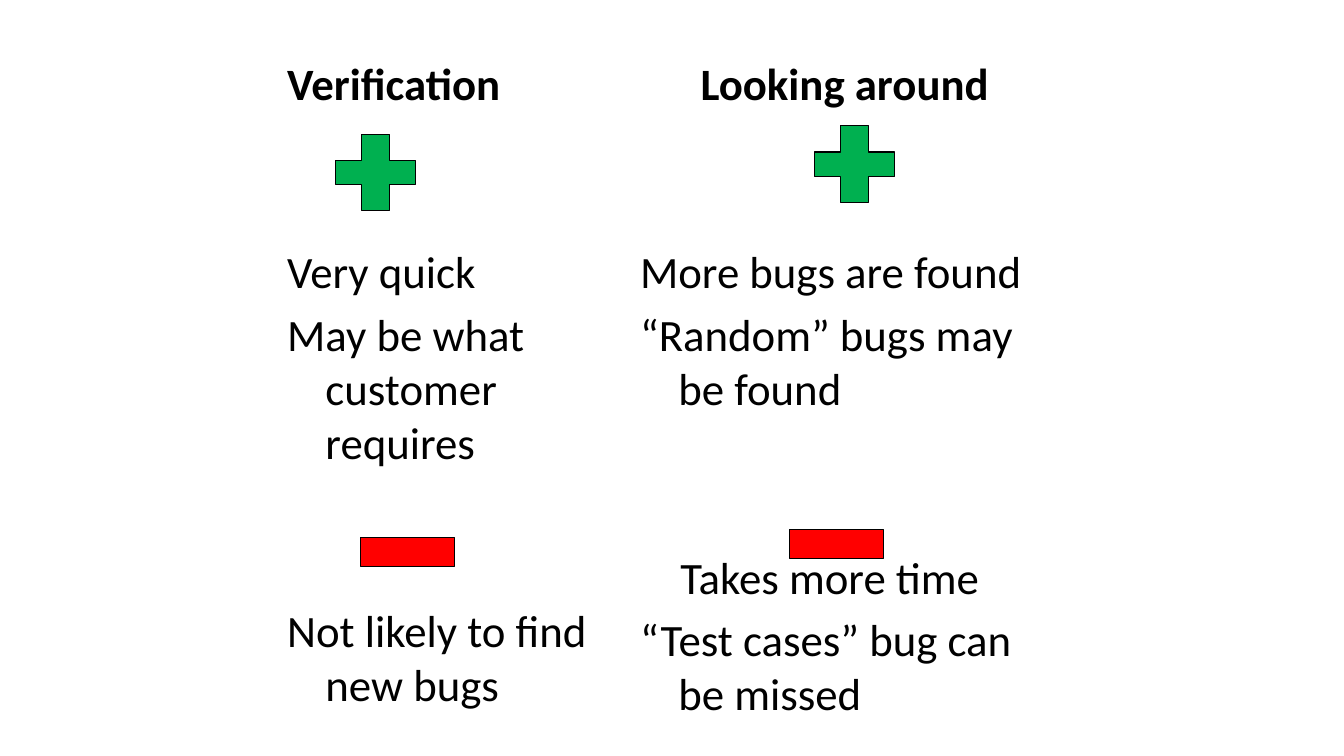
from pptx import Presentation
from pptx.dml.color import RGBColor as Rgb
from pptx.enum.shapes import MSO_SHAPE as Shape
from pptx.util import Inches, Pt

# Each column: left, width, heading, heading indent, pros, cons.
# Each point: text, left margin, first-line indent (inches).
HANG = (0.38, -0.38)
COLS = [
    dict(left=2.75, width=3.5, head=("Verification", *HANG),
         pros=[("Very quick", *HANG),
               ("May be what customer requires", *HANG)],
         cons=[("Not likely to find new bugs", *HANG)]),
    dict(left=6.25, width=4.3, head=("Looking around", 0.6, 0),
         pros=[("More bugs are found", *HANG),
               ("“Random” bugs may be found", *HANG)],
         cons=[("Takes more time", 0.4, 0),
               ("“Test cases” bug can be missed", *HANG)]),
]
# Each sign: kind, left, top
SIGNS = [("plus", 3.33, 1.33), ("minus", 3.58, 5.33),
         ("plus", 8.08, 1.25), ("minus", 7.83, 5.25)]
KINDS = {
    "plus": dict(form=Shape.CROSS, size=(0.79, 0.76), adj=[0.34]),
    "minus": dict(form=Shape.RECTANGLE, size=(0.93, 0.29), adj=[]),
}
THEME = dict(
    font=dict(name="Calibri", size=Pt(32)),
    ink=Rgb(0, 0, 0), edge=Pt(0.75),
    plus=Rgb(0x00, 0xB0, 0x50), minus=Rgb(0xFF, 0, 0),
    gap=Pt(6.4), skip=Pt(96.4),
)
TOP, HIGH = 0.5, 5.62


def add_line(para, point, bold, space):
    text, left, first = point
    props = para._p.get_or_add_pPr()
    props.set("marL", str(Inches(left)))
    props.set("indent", str(Inches(first)))
    para.space_before = space
    run = para.add_run()
    run.text = text
    for key, value in dict(THEME["font"], bold=bold).items():
        setattr(run.font, key, value)
    run.font.color.rgb = THEME["ink"]


def add_col(slide, col):
    box = slide.shapes.add_textbox(*map(Inches, (col["left"], TOP, col["width"], HIGH)))
    frame = box.text_frame
    frame.word_wrap = True
    add_line(frame.paragraphs[0], col["head"], True, THEME["gap"])
    for group in (col["pros"], col["cons"]):
        for i, point in enumerate(group):
            space = THEME["gap"] if i else THEME["skip"]
            add_line(frame.add_paragraph(), point, False, space)


def add_sign(slide, name, left, top):
    kind = KINDS[name]
    sign = slide.shapes.add_shape(kind["form"], *map(Inches, (left, top, *kind["size"])))
    for i, value in enumerate(kind["adj"]):
        sign.adjustments[i] = value
    sign.shadow.inherit = False
    sign.fill.solid()
    sign.fill.fore_color.rgb = THEME[name]
    sign.line.color.rgb = THEME["ink"]
    sign.line.width = THEME["edge"]


def main():
    deck = Presentation()
    deck.slide_width, deck.slide_height = Inches(13.33), Inches(7.5)
    slide = deck.slides.add_slide(deck.slide_layouts[6])
    for col in COLS:
        add_col(slide, col)
    for sign in SIGNS:
        add_sign(slide, *sign)
    deck.save("out.pptx")


if __name__ == "__main__":
    main()
